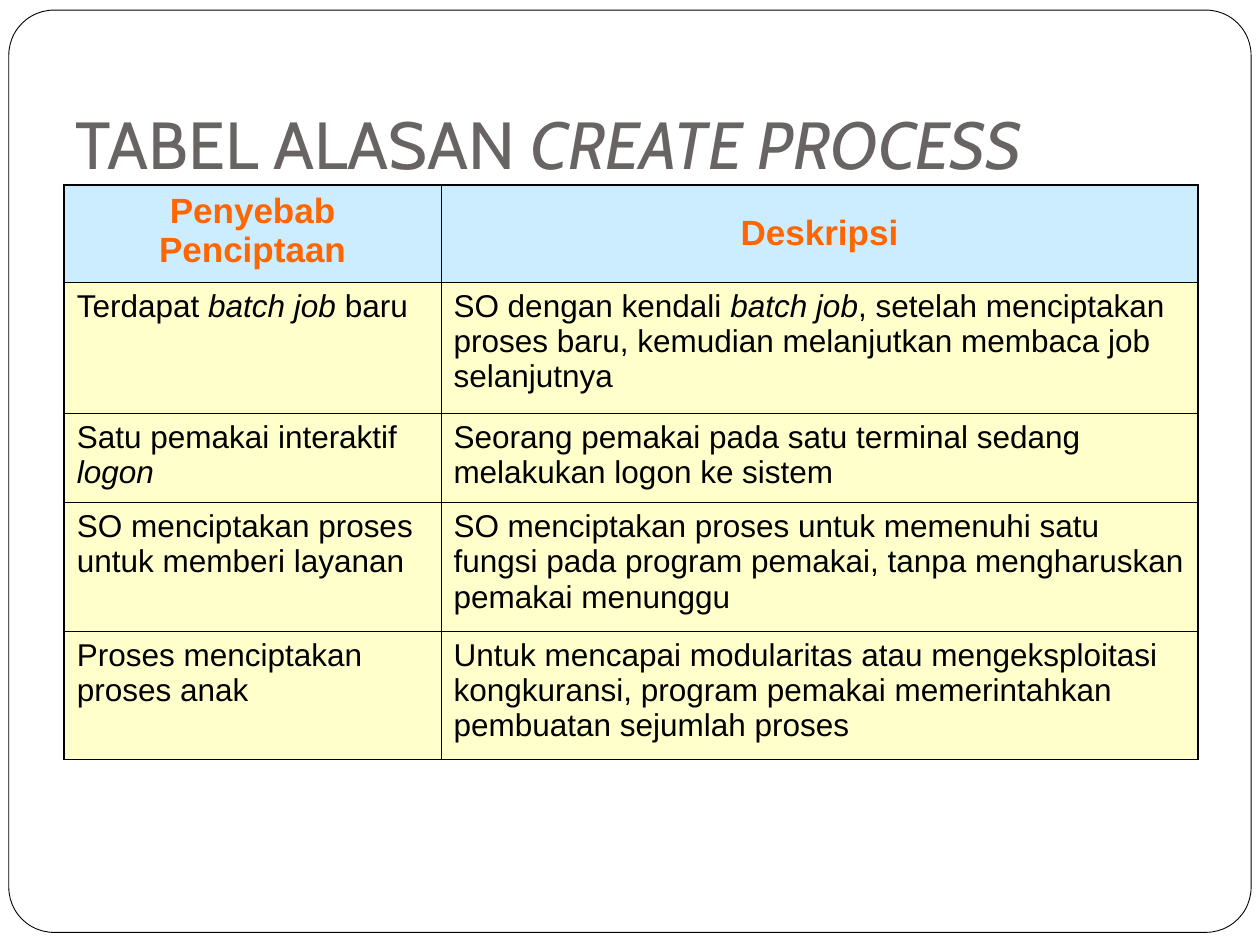
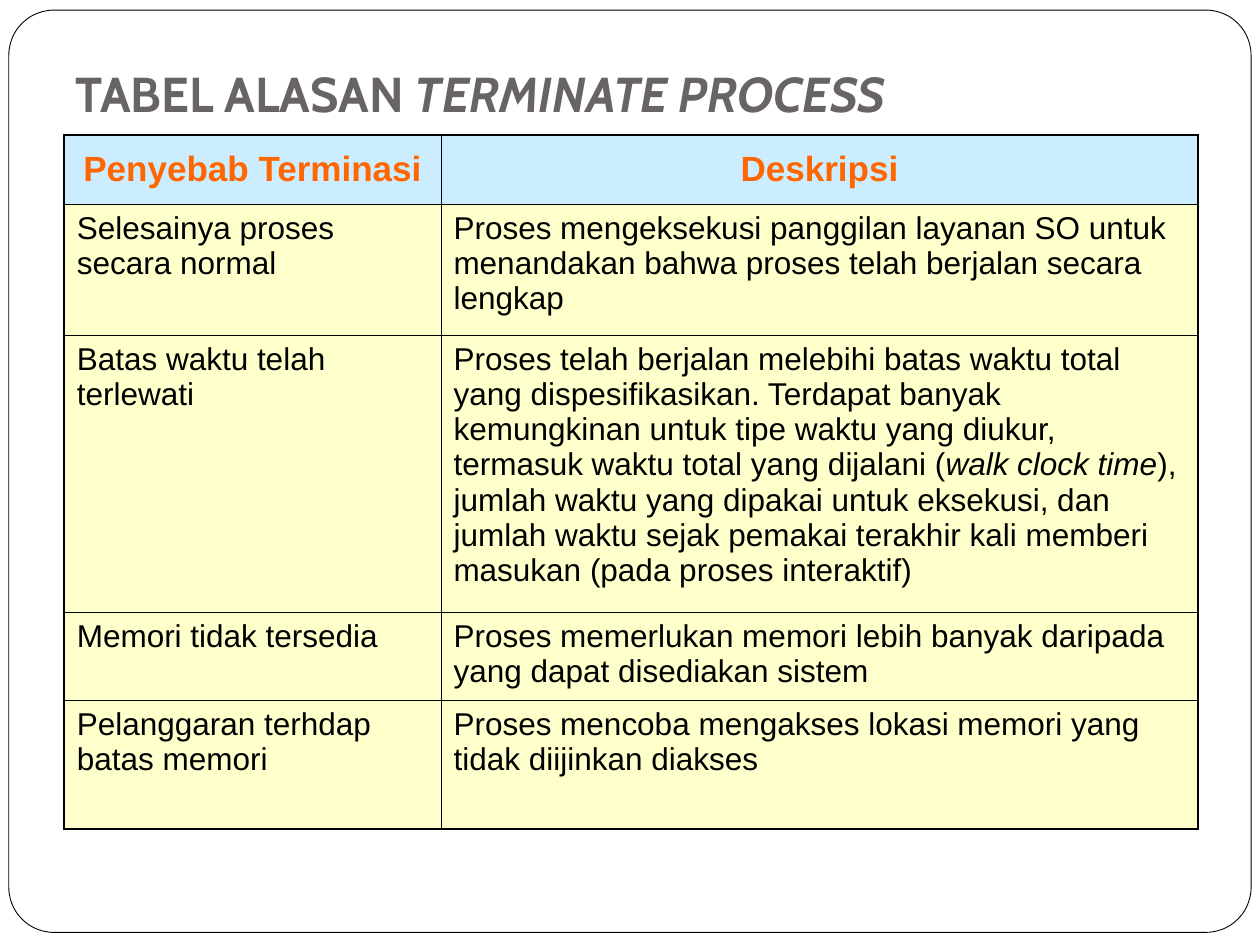
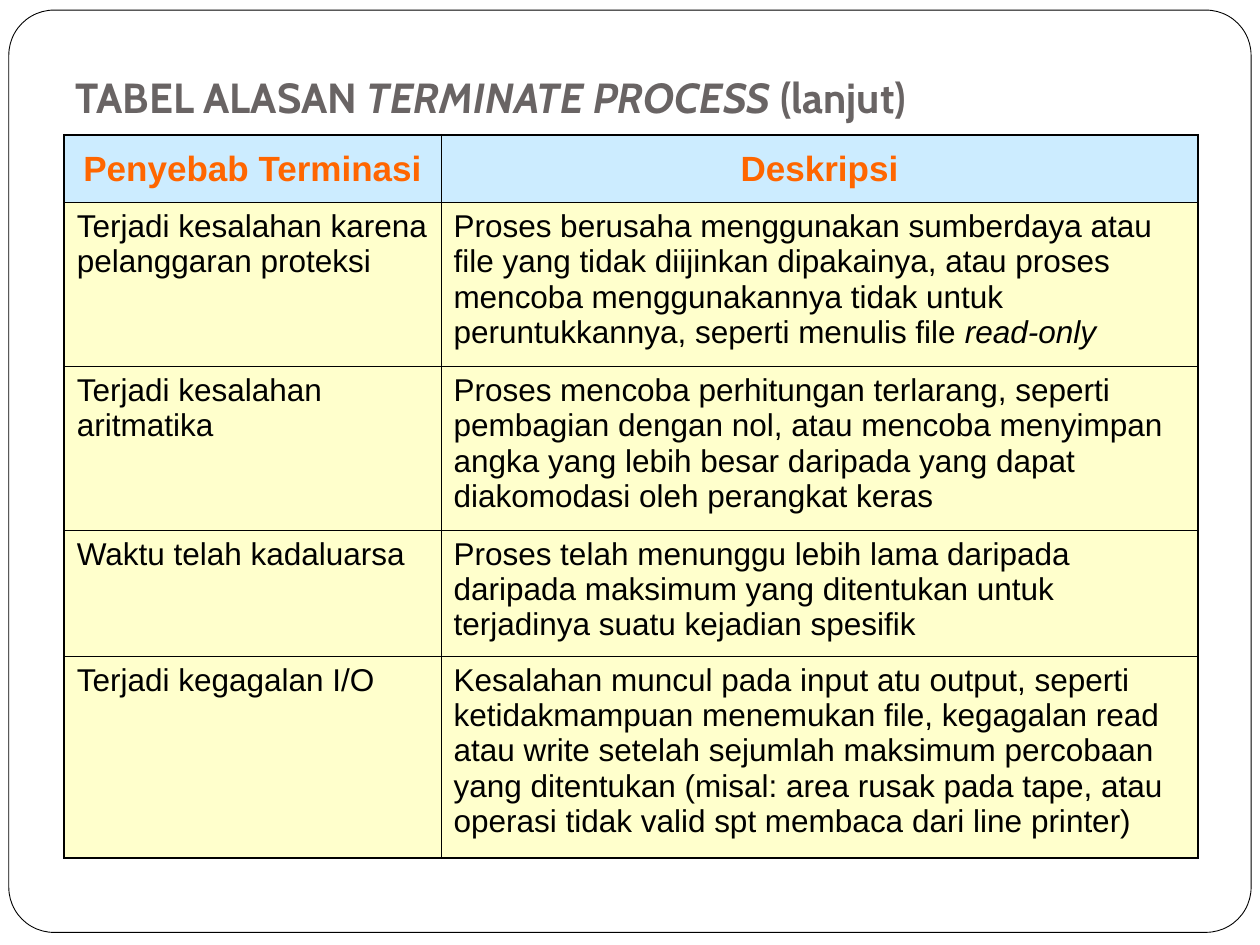
from lxml import etree
from pptx import Presentation
from pptx.dml.color import RGBColor
from pptx.enum.shapes import MSO_SHAPE
from pptx.enum.text import MSO_ANCHOR, MSO_AUTO_SIZE, PP_ALIGN
from pptx.oxml.ns import qn
from pptx.util import Inches, Pt

ROUNDED = MSO_SHAPE.ROUNDED_RECTANGLE
TOP, MIDDLE, BOTTOM = MSO_ANCHOR.TOP, MSO_ANCHOR.MIDDLE, MSO_ANCHOR.BOTTOM
LEFT, CENTER = PP_ALIGN.LEFT, PP_ALIGN.CENTER
NO_AUTOFIT = MSO_AUTO_SIZE.NONE

COLORS = {
    "white": "FFFFFF",
    "line": "000000",
    "title": "696464",
    "header_text": "FF6600",
    "header_fill": "CCECFF",
    "body_text": "000000",
    "body_fill": "FFFFCC",
}
TITLE_FONT, TABLE_FONT = "Cabin", "Arial"
OUTER_BORDER, INNER_BORDER = Pt(1.08), Pt(0.45)
COLUMN_WIDTHS = (2.99, 6.01)
TERMINATION_HEADER = ("Penyebab Terminasi", "Deskripsi")

CREATION_ROWS = [
    ("Penyebab Penciptaan", "Deskripsi"),
    ("Terdapat *batch job *baru",
     "SO dengan kendali *batch job*, setelah menciptakan proses baru, "
     "kemudian melanjutkan membaca job selanjutnya"),
    ("Satu pemakai interaktif *logon*",
     "Seorang pemakai pada satu terminal sedang melakukan logon ke sistem"),
    ("SO menciptakan proses untuk memberi layanan",
     "SO menciptakan proses untuk memenuhi satu fungsi pada program pemakai, "
     "tanpa mengharuskan pemakai menunggu"),
    ("Proses menciptakan proses anak",
     "Untuk mencapai modularitas atau mengeksploitasi kongkuransi, "
     "program pemakai memerintahkan pembuatan sejumlah proses"),
]
TERMINATION_ROWS = [
    TERMINATION_HEADER,
    ("Selesainya proses secara normal",
     "Proses mengeksekusi panggilan layanan SO untuk menandakan bahwa "
     "proses telah berjalan secara lengkap"),
    ("Batas waktu telah terlewati",
     "Proses telah berjalan melebihi batas waktu total yang dispesifikasikan. "
     "Terdapat banyak kemungkinan untuk tipe waktu yang diukur, termasuk "
     "waktu total yang dijalani (*walk clock time*), jumlah waktu yang dipakai "
     "untuk eksekusi, dan jumlah waktu sejak pemakai terakhir kali memberi "
     "masukan (pada proses interaktif)"),
    ("Memori tidak tersedia",
     "Proses memerlukan memori lebih banyak daripada yang dapat "
     "disediakan sistem"),
    ("Pelanggaran terhdap batas memori",
     "Proses mencoba mengakses lokasi memori yang tidak diijinkan diakses"),
]
TERMINATION_MORE_ROWS = [
    TERMINATION_HEADER,
    ("Terjadi kesalahan karena pelanggaran proteksi",
     "Proses berusaha menggunakan sumberdaya atau file yang tidak diijinkan "
     "dipakainya, atau proses mencoba menggunakannya tidak untuk "
     "peruntukkannya, seperti menulis file *read-only*"),
    ("Terjadi kesalahan aritmatika",
     "Proses mencoba perhitungan terlarang, seperti pembagian dengan nol, "
     "atau mencoba menyimpan angka yang lebih besar daripada yang dapat "
     "diakomodasi oleh perangkat keras"),
    ("Waktu telah kadaluarsa",
     "Proses telah menunggu lebih lama daripada daripada maksimum yang "
     "ditentukan untuk terjadinya suatu kejadian spesifik"),
    ("Terjadi kegagalan I/O",
     "Kesalahan muncul pada input atu output, seperti ketidakmampuan "
     "menemukan file, kegagalan read atau write setelah sejumlah maksimum "
     "percobaan yang ditentukan (misal: area rusak pada tape, atau operasi "
     "tidak valid spt membaca dari line printer)"),
]


def rgb(name):
    return RGBColor.from_string(COLORS[name])


def write_text(tf, text, font, size, color, bold=False, align=LEFT):
    p = tf.paragraphs[0]
    p.alignment = align
    for i, part in enumerate(text.split("*")):
        if part:
            r = p.add_run()
            r.text = part
            r.font.name = font
            r.font.size = Pt(size)
            r.font.bold = bold
            r.font.italic = i % 2 == 1
            r.font.color.rgb = rgb(color)


def add_master_frame(prs, s):
    frame = s.shapes.add_shape(
        ROUNDED, Inches(0.07), Inches(0.08), Inches(9.86), Inches(7.32))
    frame.adjustments[0] = 0.049
    frame.shadow.inherit = False
    frame.fill.solid()
    frame.fill.fore_color.rgb = rgb("white")
    frame.line.color.rgb = rgb("line")
    frame.line.width = Pt(0.5)
    frame._element.nvSpPr.cNvPr.set("id", "20")
    prs.slide_master.shapes._spTree.insert(2, frame._element)


def set_title(s, text, size, height, bold):
    title = s.shapes.title
    title.left, title.top = Inches(0.5), Inches(0.3)
    title.width, title.height = Inches(9), Inches(height)
    tf = title.text_frame
    tf.auto_size = NO_AUTOFIT
    tf.word_wrap = True
    tf.vertical_anchor = BOTTOM
    tf.margin_left = tf.margin_right = tf.margin_bottom = Inches(0.1)
    tf.margin_top = Inches(0.05)
    write_text(tf, text, TITLE_FONT, size, "title", bold)


def set_borders(cell, outer_sides):
    tcPr = cell._tc.get_or_add_tcPr()
    for side in "LRTB":
        width = OUTER_BORDER if side in outer_sides else INNER_BORDER
        ln = etree.SubElement(tcPr, qn(f"a:ln{side}"), w=str(width))
        fill = etree.SubElement(ln, qn("a:solidFill"))
        etree.SubElement(fill, qn("a:srgbClr"), val=COLORS["line"])


def format_cell(cell, text, is_header, outer_sides):
    set_borders(cell, outer_sides)
    cell.fill.solid()
    cell.fill.fore_color.rgb = rgb("header_fill" if is_header else "body_fill")
    cell.margin_left = cell.margin_right = Inches(0.1)
    cell.margin_top = cell.margin_bottom = Inches(0.05)
    cell.vertical_anchor = MIDDLE if is_header else TOP
    if is_header:
        write_text(cell.text_frame, text, TABLE_FONT, 20, "header_text", True, CENTER)
    else:
        write_text(cell.text_frame, text, TABLE_FONT, 18, "body_text")


def add_reason_table(s, top, row_heights, rows):
    table = s.shapes.add_table(
        len(rows), len(COLUMN_WIDTHS), Inches(0.51), Inches(top),
        Inches(sum(COLUMN_WIDTHS)), Inches(sum(row_heights))).table
    table.first_row = table.horz_banding = False
    for column, width in zip(table.columns, COLUMN_WIDTHS):
        column.width = Inches(width)
    for i, (height, texts) in enumerate(zip(row_heights, rows)):
        table.rows[i].height = Inches(height)
        edge = "T" if i == 0 else "B" if i == len(rows) - 1 else ""
        for j, text in enumerate(texts):
            format_cell(table.cell(i, j), text, i == 0, edge + "LR"[j])
    return table


def main():
    prs = Presentation()
    prs.slide_width, prs.slide_height = Inches(10), Inches(7.5)
    title_only = prs.slide_layouts[5]

    s = prs.slides.add_slide(title_only)
    add_master_frame(prs, s)
    set_title(s, "TABEL ALASAN *CREATE PROCESS*", 38, 1.25, False)
    table = add_reason_table(s, 1.47, (0.77, 1.04, 0.71, 1.02, 1.02), CREATION_ROWS)
    table.cell(0, 0).vertical_anchor = TOP

    s = prs.slides.add_slide(title_only)
    set_title(s, "TABEL ALASAN *TERMINATE PROCESS*", 28, 0.77, True)
    add_reason_table(s, 1.07, (0.55, 1.04, 2.2, 0.7, 1.02), TERMINATION_ROWS)

    s = prs.slides.add_slide(title_only)
    set_title(s, "TABEL ALASAN *TERMINATE PROCESS *(lanjut)", 24, 0.77, True)
    add_reason_table(s, 1.07, (0.54, 1.3, 1.3, 1, 1.6), TERMINATION_MORE_ROWS)

    prs.save("out.pptx")


if __name__ == "__main__":
    main()
